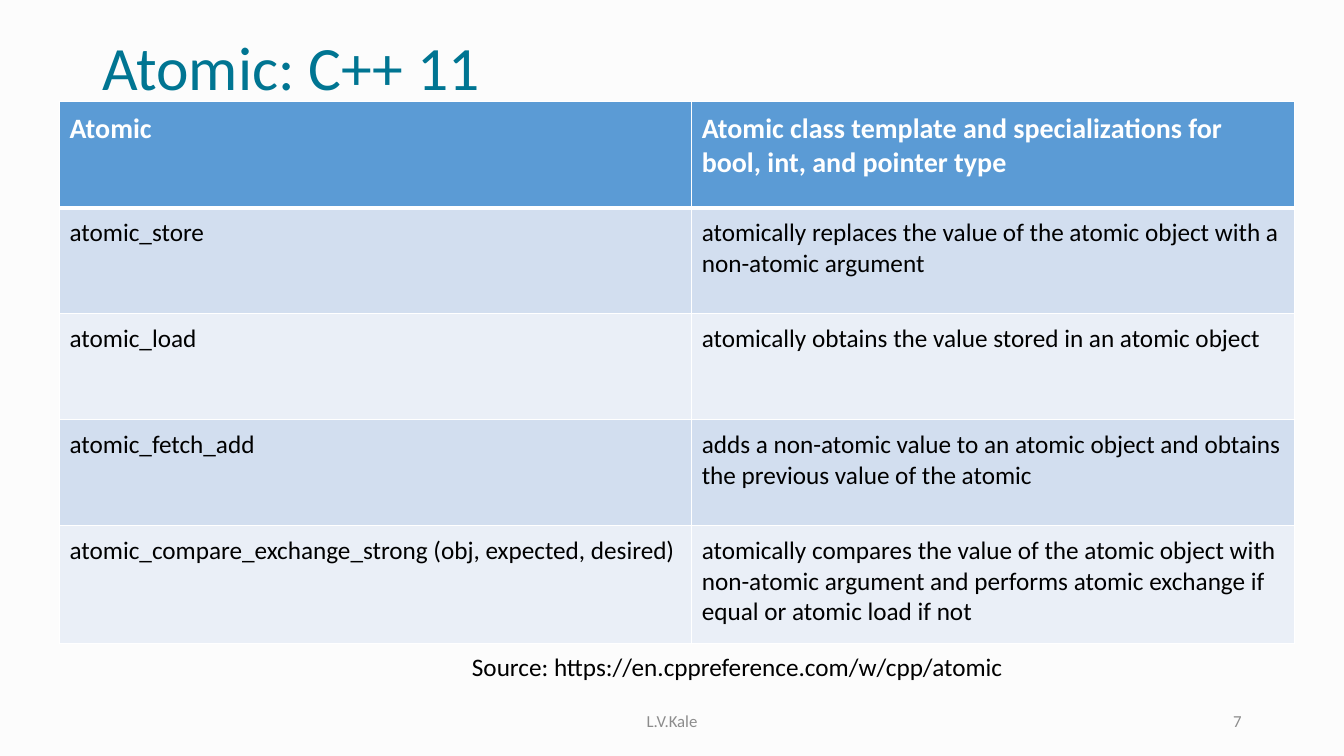
import pptx
import pptx.util
import pptx.dml.color
import pptx.enum.text
import pptx.oxml
import pptx.oxml.ns

Rgb = pptx.dml.color.RGBColor.from_string
Align = pptx.enum.text.PP_ALIGN
Anchor = pptx.enum.text.MSO_ANCHOR

theme = dict(
    font="Calibri", page="FCFCFC", title="007592", ink="000000", mute="8C8C8C",
    head="5B9BD5", bands=("D2DEEF", "EAEFF7"), line="FFFFFF",
    big=44, label=20, body=18, small=12, thin=1, thick=3,
)

deck = pptx.Presentation()
deck.slide_width = pptx.util.Inches(13.33)
deck.slide_height = pptx.util.Inches(7.5)
slide = deck.slides.add_slide(deck.slide_layouts[6])
slide.background.fill.solid()
slide.background.fill.fore_color.rgb = Rgb(theme["page"])


def place(left, top, width, height):
    """Turn percent of the slide's size into lengths."""
    wide, high = deck.slide_width / 100, deck.slide_height / 100
    return int(left * wide), int(top * high), int(width * wide), int(height * high)


def write(frame, text, size="body", color=theme["ink"], bold=False,
          align=Align.LEFT, anchor=Anchor.TOP, wrap=True, space=None):
    frame.word_wrap = wrap
    frame.vertical_anchor = anchor
    para = frame.paragraphs[0]
    para.alignment = align
    para.line_spacing = space
    run = para.add_run()
    run.text = text
    run.font.name = theme["font"]
    run.font.size = pptx.util.Pt(theme[size])
    run.font.bold = bold
    run.font.color.rgb = Rgb(color)


# Title, source and footer
edge = 6.88
foot = dict(size="small", color=theme["mute"], anchor=Anchor.MIDDLE)
labels = [
    ("Atomic: C++ 11", (edge, 3.73, 100 - 2 * edge, 11.2),
     dict(size="big", color=theme["title"], anchor=Anchor.MIDDLE, space=0.9)),
    ("Source: https://en.cppreference.com/w/cpp/atomic",
     (34.38, 85.47, 42.2, 5.33), dict(wrap=False)),
    ("L.V.Kale", (33.13, 92.67, 33.75, 5.33), dict(foot, align=Align.CENTER)),
    ("7", (100 - edge - 22.5, 92.67, 22.5, 5.33), dict(foot, align=Align.RIGHT)),
]
for text, spot, style in labels:
    write(slide.shapes.add_textbox(*place(*spot)).text_frame, text, **style)

# Table grid
rows = [
    ("Atomic", "Atomic class template and specializations for bool, int, and pointer type"),
    ("atomic_store", "atomically replaces the value of the atomic object with a non-atomic argument"),
    ("atomic_load", "atomically obtains the value stored in an atomic object"),
    ("atomic_fetch_add", "adds a non-atomic value to an atomic object and obtains the previous value of the atomic"),
    ("atomic_compare_exchange_strong (obj, expected, desired)",
     "atomically compares the value of the atomic object with non-atomic argument "
     "and performs atomic exchange if equal or atomic load if not"),
]
cols = (47.04, 44.86)
highs = [14] * 4 + [15.6]
table = slide.shapes.add_table(
    len(rows), len(cols), *place(4.43, 13.47, sum(cols), sum(highs))).table
for col, share in zip(table.columns, cols):
    col.width = place(0, 0, share, 0)[2]
for row, share in zip(table.rows, highs):
    row.height = place(0, 0, 0, share)[3]

# Table cells
for r, row in enumerate(rows):
    top = r == 0
    for c, text in enumerate(row):
        cell = table.cell(r, c)
        pad = pptx.util.Inches(0.1)
        cell.margin_left = cell.margin_right = cell.margin_top = cell.margin_bottom = pad
        write(cell.text_frame, text, size="label" if top else "body",
              color=theme["line"] if top else theme["ink"], bold=top)
        for side in "LRTB":
            rule = (r, side) in ((0, "B"), (1, "T"))
            width = pptx.util.Pt(theme["thick" if rule else "thin"])
            cell._tc.get_or_add_tcPr().append(pptx.oxml.parse_xml(
                f'<a:ln{side} {pptx.oxml.ns.nsdecls("a")} w="{width}"><a:solidFill>'
                f'<a:srgbClr val="{theme["line"]}"/></a:solidFill></a:ln{side}>'))
        cell.fill.solid()
        cell.fill.fore_color.rgb = Rgb(
            theme["head"] if top else theme["bands"][(r - 1) % 2])

deck.save("out.pptx")
